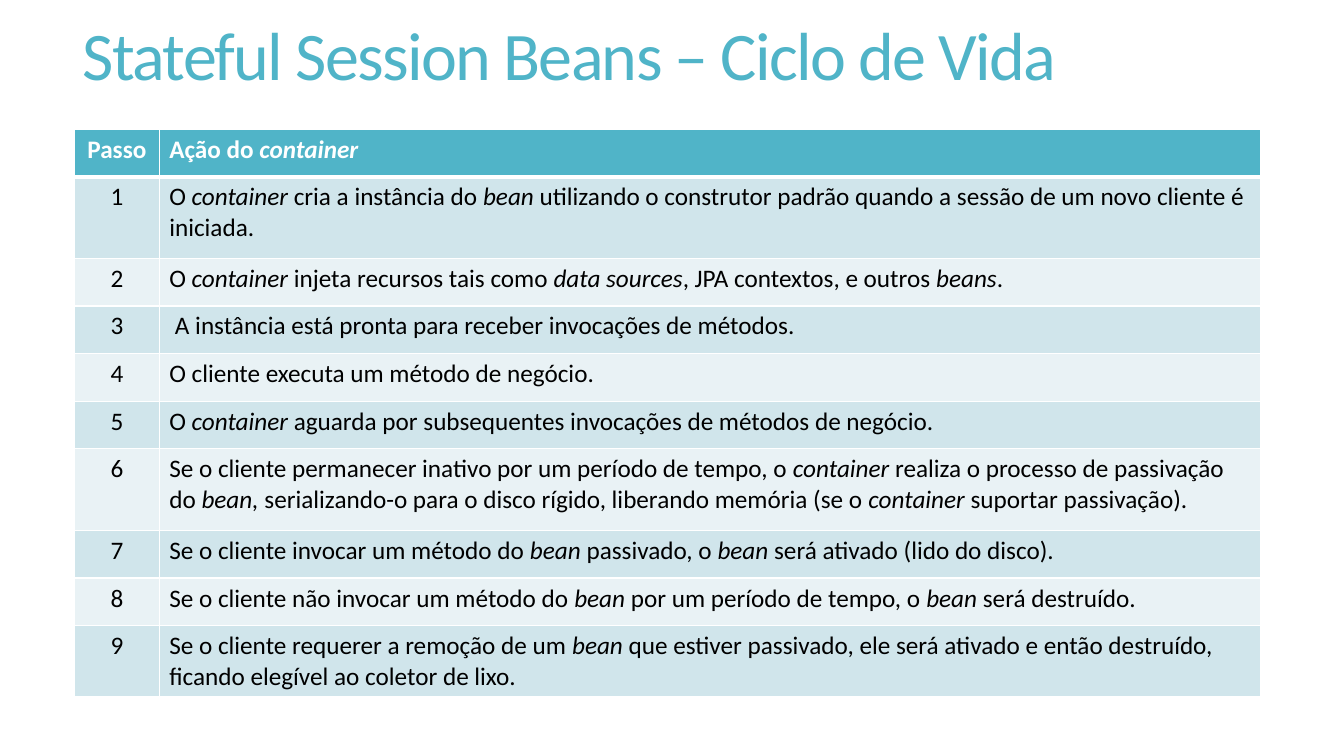
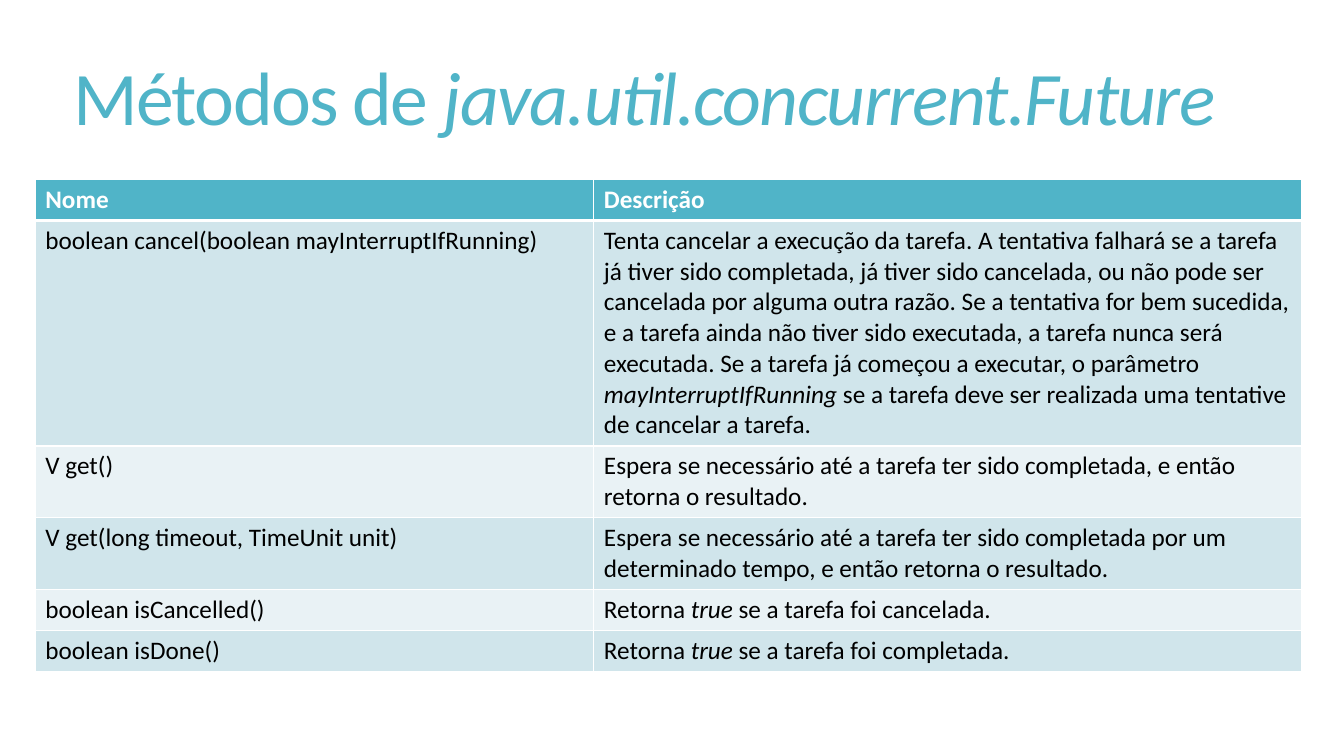
import pptx
import pptx.dml.color
import pptx.enum.text
import pptx.oxml
import pptx.oxml.ns
import pptx.util

W, H = pptx.util.Inches(13.33), pptx.util.Inches(7.5)
FONT = "Calibri"
ACCENT, WHITE, BLACK = "50B4C8", "FFFFFF", "000000"
BANDS = ["D0E5EB", "E9F2F5"]
LEFT, CENTER = pptx.enum.text.PP_ALIGN.LEFT, pptx.enum.text.PP_ALIGN.CENTER

CYCLE = [
    "Ação do *container*",
    "O *container *cria a instância do *bean* utilizando o construtor padrão "
    "quando a sessão de um novo cliente é iniciada.",
    "O *container *injeta recursos tais como *data sources*, JPA contextos, "
    "e outros *beans*.",
    " A instância está pronta para receber invocações de métodos.",
    "O cliente executa um método de negócio.",
    "O *container *aguarda por subsequentes invocações de métodos de negócio.",
    "Se o cliente permanecer inativo por um período de tempo, o *container *realiza "
    "o processo de passivação do *bean, *serializando-o para o disco rígido, "
    "liberando memória (se o *container *suportar passivação).",
    "Se o cliente invocar um método do *bean* passivado, o *bean *será ativado "
    "(lido do disco).",
    "Se o cliente não invocar um método do *bean* por um período de tempo, "
    "o *bean *será destruído.",
    "Se o cliente requerer a remoção de um *bean* que estiver passivado, ele será "
    "ativado e então destruído, ficando elegível ao coletor de lixo.",
]

METHODS = [
    ("Nome", "Descrição"),
    ("boolean cancel(boolean mayInterruptIfRunning)",
     "Tenta cancelar a execução da tarefa. A tentativa falhará se a tarefa já tiver "
     "sido completada, já tiver sido cancelada, ou não pode ser cancelada por alguma "
     "outra razão. Se a tentativa for bem sucedida, e a tarefa ainda não tiver sido "
     "executada, a tarefa nunca será executada. Se a tarefa já começou a executar, "
     "o parâmetro *mayInterruptIfRunning *se a tarefa deve ser realizada uma "
     "tentative de cancelar a tarefa."),
    ("V get()",
     "Espera se necessário até a tarefa ter sido completada, e então retorna o resultado."),
    ("V get(long timeout, TimeUnit unit)",
     "Espera se necessário até a tarefa ter sido completada por um determinado tempo, "
     "e então retorna o resultado."),
    ("boolean isCancelled()", "Retorna *true* se a tarefa foi cancelada."),
    ("boolean isDone()", "Retorna *true* se a tarefa foi completada."),
]


def rgb(color):
    """Turn a hex string into a colour."""
    return pptx.dml.color.RGBColor.from_string(color)


def across(share):
    """Return a percentage of the slide width."""
    return int(W * share / 100)


def down(share):
    """Return a percentage of the slide height."""
    return int(H * share / 100)


def write(p, text, size, color, bold=False, spacing=None):
    """Add text run by run, with the parts between asterisks in italics."""
    for i, part in enumerate(text.split("*")):
        if not part:
            continue
        r = p.add_run()
        r.text = part
        r.font.name, r.font.size = FONT, pptx.util.Pt(size)
        r.font.bold, r.font.italic = bold, i % 2 == 1
        r.font.color.rgb = rgb(color)
        if spacing is not None:
            r.font._element.set("spc", str(spacing))


def add_title(s, text, box, size):
    """Place the slide title, centred vertically in its box."""
    x, y, w, h = box
    tf = s.shapes.add_textbox(across(x), down(y), across(w), down(h)).text_frame
    tf.word_wrap = True
    tf.vertical_anchor = pptx.enum.text.MSO_ANCHOR.MIDDLE
    p = tf.paragraphs[0]
    p.line_spacing = 0.85
    write(p, text, size, ACCENT, spacing=-120)


def add_borders(cell, top, bottom):
    """Draw white cell borders, with top and bottom widths in points."""
    tcPr = cell._tc.get_or_add_tcPr()
    for side, width in (("L", 1), ("R", 1), ("T", top), ("B", bottom)):
        tcPr.append(pptx.oxml.parse_xml(
            f'<a:ln{side} {pptx.oxml.ns.nsdecls("a")} w="{pptx.util.Pt(width)}">'
            f'<a:solidFill><a:srgbClr val="{WHITE}"/></a:solidFill></a:ln{side}>'))


def add_grid(s, rows, box, first_share, heights, first_align=LEFT):
    """Place a banded two-column table with a header row."""
    x, y, w = box
    table = s.shapes.add_table(len(rows), 2, across(x), down(y), across(w),
                               down(sum(heights))).table
    first = int(across(w) * first_share / 100)
    table.columns[0].width, table.columns[1].width = first, across(w) - first
    for i, (texts, height) in enumerate(zip(rows, heights)):
        table.rows[i].height = down(height)
        head = i == 0
        for j, text in enumerate(texts):
            cell = table.cell(i, j)
            add_borders(cell, 3 if i == 1 else 1, 3 if head else 1)
            cell.fill.solid()
            cell.fill.fore_color.rgb = rgb(ACCENT if head else BANDS[(i - 1) % 2])
            p = cell.text_frame.paragraphs[0]
            p.alignment = LEFT if j else first_align
            write(p, text, 18, WHITE if head else BLACK, bold=head)


def cycle_slide(s):
    """Build the slide on the life cycle of stateful beans."""
    add_title(s, "Stateful Session Beans – Ciclo de Vida", (5.4, 2.53, 88.37, 10.8), 48.6)
    rows = [(str(i) if i else "Passo", text) for i, text in enumerate(CYCLE)]
    one, two = 6.3, 10.8
    heights = [one, two] + [one] * 4 + [two, one, one, 9.4]
    add_grid(s, rows, (5.55, 17.07, 88.22), 7.14, heights, CENTER)


def methods_slide(s):
    """Build the slide on the methods of Future."""
    add_title(s, "Métodos de *java.util.concurrent.Future*", (4.73, 1.47, 88.37, 24.13), 54)
    pad, line = 1.35, 4.07
    heights = [pad + line * n for n in (1, 7, 2, 2, 1, 1)]
    add_grid(s, METHODS, (2.63, 23.73, 94.22), 44.11, heights)


def main():
    """Build and save the presentation."""
    prs = pptx.Presentation()
    prs.slide_width, prs.slide_height = W, H
    for build in (cycle_slide, methods_slide):
        build(prs.slides.add_slide(prs.slide_layouts[6]))
    prs.save("out.pptx")


if __name__ == "__main__":
    main()
